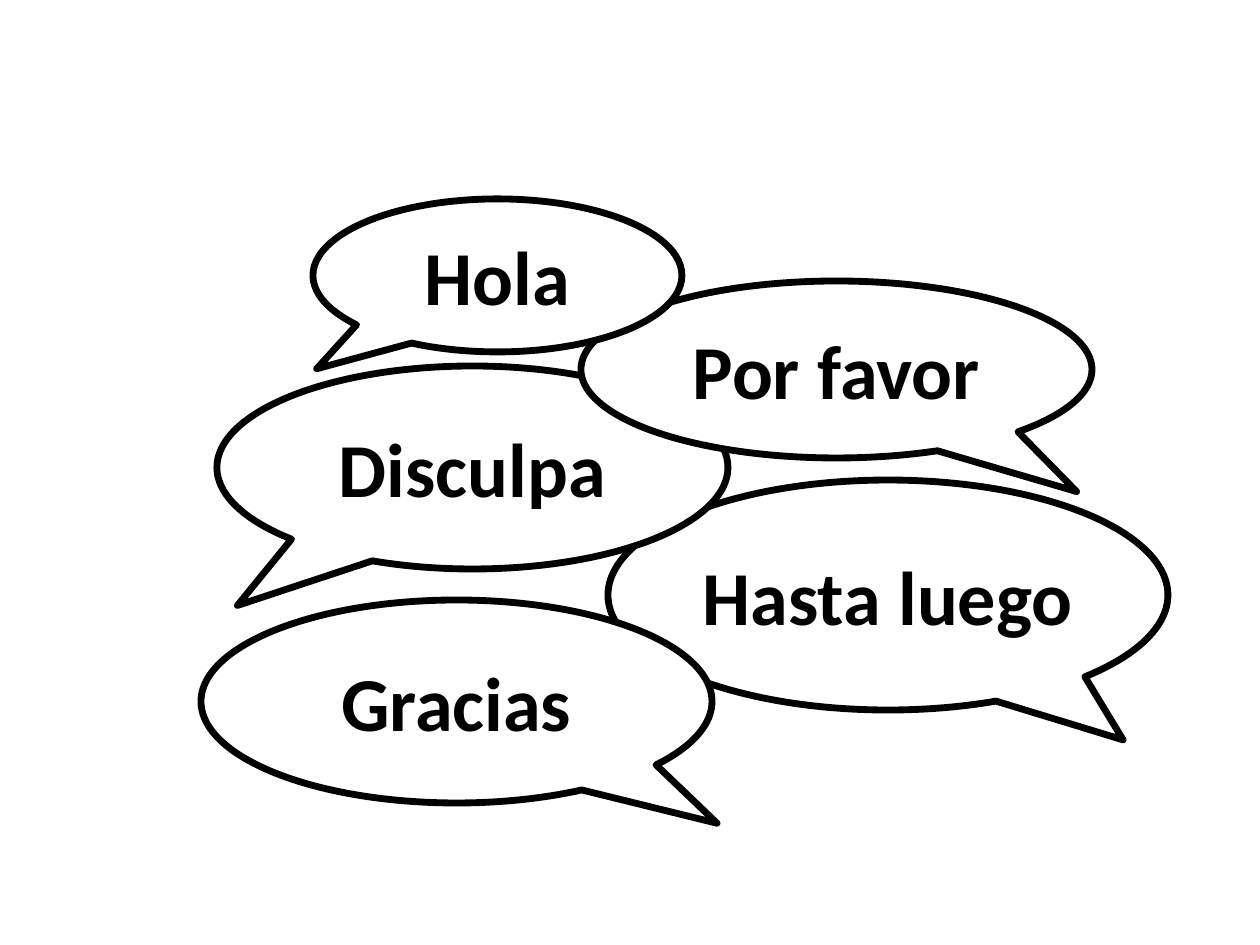
from pptx import Presentation
from pptx.dml.color import RGBColor
from pptx.enum.shapes import MSO_SHAPE
from pptx.enum.text import MSO_ANCHOR, PP_ALIGN
from pptx.util import Emu, Pt

EMU_PER_PX = 8000  # 1260 by 945 px is 28 by 21 cm
BLACK = RGBColor(0x00, 0x00, 0x00)
WHITE = RGBColor(0xFF, 0xFF, 0xFF)

# Back to front: phrase, (left, top, width, height), tail tip from the centre
BUBBLES = [
    ("Hasta luego", (608, 480, 560, 230), (0.42, 0.63)),
    ("Disculpa", (217, 366, 511, 203), (-0.46, 0.68)),
    ("Por favor", (581, 281, 511, 177), (0.47, 0.69)),
    ("Hola", (313, 199, 369, 153), (-0.49, 0.61)),
    ("Gracias", (201, 600, 511, 203), (0.51, 0.6)),
]


def px(length):
    return Emu(length * EMU_PER_PX)


def write_phrase(frame, phrase):
    frame.text = phrase
    frame.word_wrap = False
    frame.vertical_anchor = MSO_ANCHOR.MIDDLE
    frame.margin_left = frame.margin_right = px(15)
    frame.margin_top = frame.margin_bottom = px(9)
    para = frame.paragraphs[0]
    para.alignment = PP_ALIGN.CENTER
    font = para.runs[0].font
    font.name = "Calibri"
    font.size = Pt(48)
    font.bold = True
    font.color.rgb = BLACK


def add_bubble(page, phrase, place, tail):
    bubble = page.shapes.add_shape(MSO_SHAPE.OVAL_CALLOUT, *map(px, place))
    bubble.adjustments[0], bubble.adjustments[1] = tail
    bubble.shadow.inherit = False
    bubble.fill.solid()
    bubble.fill.fore_color.rgb = WHITE
    bubble.line.color.rgb = BLACK
    bubble.line.width = Pt(4.31)
    write_phrase(bubble.text_frame, phrase)


def main():
    # Blank page
    deck = Presentation()
    deck.slide_width, deck.slide_height = px(1260), px(945)
    page = deck.slides.add_slide(deck.slide_layouts[6])

    # Speech bubbles
    for phrase, place, tail in BUBBLES:
        add_bubble(page, phrase, place, tail)

    deck.save("out.pptx")


if __name__ == "__main__":
    main()
